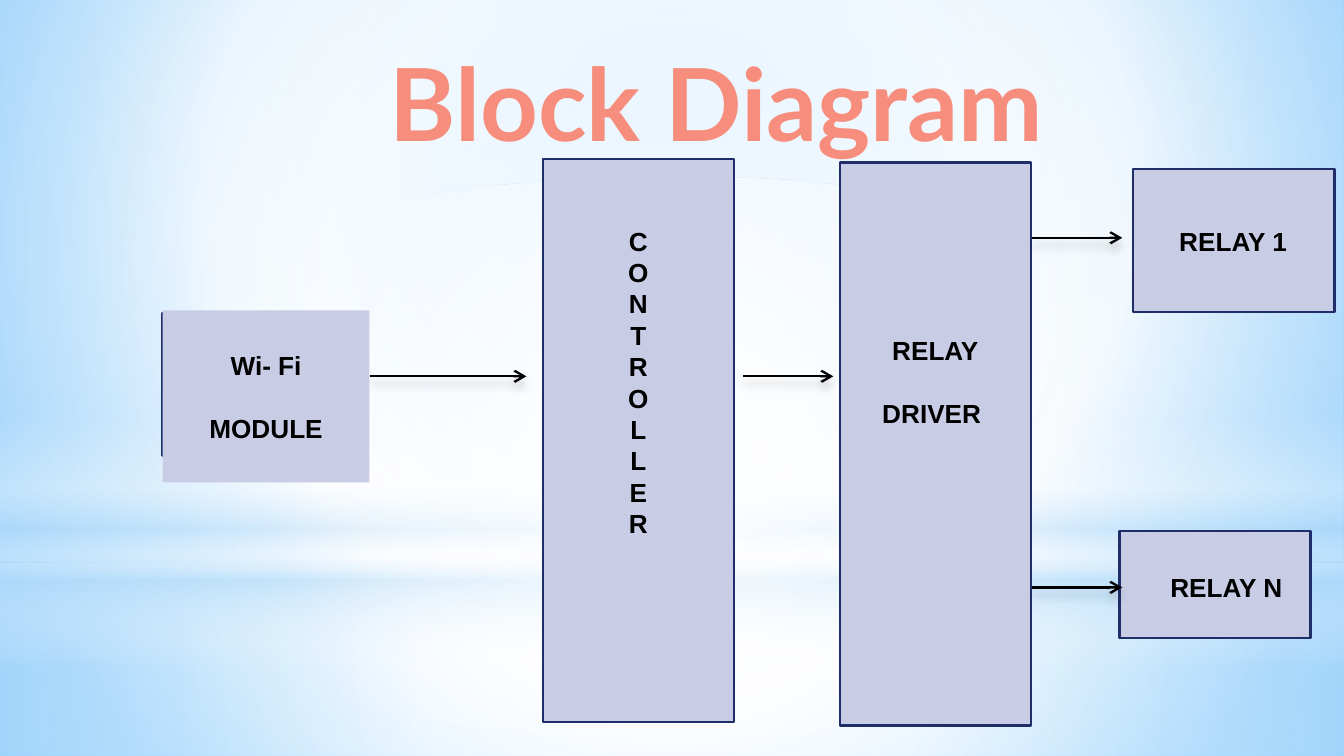
from dataclasses import dataclass
from typing import Any

from lxml import etree
from pptx import Presentation
from pptx.dml.color import RGBColor
from pptx.enum import shapes, text
from pptx.oxml import ns
from pptx.util import Pt

RECT = shapes.MSO_SHAPE.RECTANGLE
OVAL = shapes.MSO_SHAPE.OVAL


def rgb(value):
    return RGBColor.from_string(value)


def add(parent, tag, **attrs):
    return etree.SubElement(parent, ns.qn(tag), {k: str(v) for k, v in attrs.items()})


def tint(parent, color, alpha):
    clr = add(parent, "a:srgbClr", val=color)
    if alpha < 100:
        add(clr, "a:alpha", val=alpha * 1000)


@dataclass
class Diagram:
    s: Any
    font: str = "Arial"
    size: float = 14
    pitch: float = 16.8
    ink: str = "000000"
    fill: str = "C8CDE5"
    edge: str = "1F2E69"
    weight: float = 1.25

    def gradient(self, fill, stops, focus=None):
        fill.gradient()
        grad = fill._fill._gradFill
        for child in list(grad):
            grad.remove(child)
        gs_lst = add(grad, "a:gsLst")
        for pos, color, alpha in stops:
            tint(add(gs_lst, "a:gs", pos=pos * 1000), color, alpha)
        if focus:
            circle = add(grad, "a:path", path="circle")
            sides = {k: v * 1000 for k, v in zip("ltrb", focus)}
            add(circle, "a:fillToRect", **sides)
        else:
            add(grad, "a:lin", ang=90 * 60000, scaled=0)

    def shape(self, kind, x, y, w, h):
        sp = self.s.shapes.add_shape(kind, Pt(x), Pt(y), Pt(w), Pt(h))
        sp.shadow.inherit = False
        sp.line.fill.background()
        return sp

    def glow(self, kind, y, h, stops, focus=None):
        self.gradient(self.shape(kind, 0, y, 720, h).fill, stops, focus)

    def block(self, x, y, w, h, fill=None, outlined=True):
        sp = self.shape(RECT, x, y, w, h)
        sp.fill.solid()
        sp.fill.fore_color.rgb = rgb(fill or self.fill)
        if outlined:
            sp.line.color.rgb = rgb(self.edge)
            sp.line.width = Pt(self.weight)
        return sp

    def arrow(self, x1, x2, y):
        c = self.s.shapes.add_connector(
            shapes.MSO_CONNECTOR.STRAIGHT, Pt(x1), Pt(y), Pt(x2), Pt(y))
        c.line.color.rgb = rgb(self.ink)
        c.line.width = Pt(self.weight)
        add(c.line._get_or_add_ln(), "a:tailEnd", type="arrow")
        effects = add(c._element.spPr, "a:effectLst")
        shadow = add(effects, "a:outerShdw", blurRad=Pt(5), dist=Pt(4),
                     dir=90 * 60000, rotWithShape=0)
        tint(shadow, self.ink, 20)

    def put_text(self, sp, lines, gap=0, top=3.6):
        tf = sp.text_frame
        tf.word_wrap = True
        tf.vertical_anchor = text.MSO_ANCHOR.TOP
        tf.margin_top = Pt(top)
        for i, line in enumerate(lines):
            p = tf.paragraphs[0] if i == 0 else tf.add_paragraph()
            p.text = line
            p.alignment = text.PP_ALIGN.CENTER
            p.line_spacing = Pt(self.pitch)
            if i and gap:
                p.space_before = Pt(gap)
            p.font.name = self.font
            p.font.size = Pt(self.size)
            p.font.bold = True
            p.font.color.rgb = rgb(self.ink)

    def label(self, x, y, w, h, lines, gap=0):
        self.put_text(self.s.shapes.add_textbox(Pt(x), Pt(y), Pt(w), Pt(h)), lines, gap)

    def title(self, words, x, y, w, h):
        sp = self.s.shapes.title
        self.s.shapes._spTree.append(sp._element)
        sp.left, sp.top, sp.width, sp.height = Pt(x), Pt(y), Pt(w), Pt(h)
        tf = sp.text_frame
        tf.text = words
        tf.auto_size = text.MSO_AUTO_SIZE.NONE
        tf.vertical_anchor = text.MSO_ANCHOR.TOP
        p = tf.paragraphs[0]
        p.alignment = text.PP_ALIGN.CENTER
        p.font.name = "Lato"
        p.font.size = Pt(54)
        p.font.bold = True
        p.font.color.rgb = rgb("F78D7C")


def main():
    prs = Presentation()
    prs.slide_width, prs.slide_height = Pt(720), Pt(405)
    s = prs.slides.add_slide(prs.slide_layouts[5])
    d = Diagram(s)

    white, sky = "FFFFFF", "B4DCFA"
    center = (50, 50, 50, 50)
    d.gradient(s.background.fill,
               [(0, "9ED5FF", 100), (60, white, 100), (100, "5BB9FF", 100)],
               (20, 10, 20, 60))
    d.glow(RECT, 301.5, 103.5, [(0, white, 91), (37, white, 76), (100, sky, 79)], center)
    d.glow(RECT, 0, 301.5, [(0, white, 89), (48, white, 62), (100, sky, 79)], center)
    d.glow(RECT, 222.5, 135, [(0, white, 0), (29, white, 30), (45, sky, 40),
                              (55, white, 26), (65, sky, 60), (100, white, 0)])
    d.glow(OVAL, 94.5, 301.5, [(0, white, 100), (56, white, 0)], center)

    d.block(290.9, 85, 102.2, 301.7)
    d.block(87.1, 167.8, 108, 76.3, fill="4E67C8")
    d.block(607, 90.7, 108, 76.6)
    d.block(599.8, 284.4, 102.2, 57.4)
    d.block(450, 87, 102.2, 301.7)

    for x1, x2, y in [(198, 282, 201.6), (398.2, 446.4, 201.6),
                      (553, 601.2, 127.4), (553, 601.2, 314.7)]:
        d.arrow(x1, x2, y)

    module = d.block(87.1, 166.3, 110.9, 92.2, outlined=False)
    d.put_text(module, ["Wi- Fi", "MODULE"], gap=d.pitch, top=20.8)
    d.label(306, 117, 72, 177, list("CONTROLLER"))
    d.label(462.2, 175.6, 77.8, 58, ["RELAY", "DRIVER "], gap=d.pitch)
    d.label(612.7, 117, 95.8, 24.2, ["RELAY 1"])
    d.label(612, 302.4, 90, 24.2, ["RELAY N"])
    d.title("Block Diagram ", 72, 18, 637.2, 90)

    prs.save("out.pptx")


if __name__ == "__main__":
    main()
